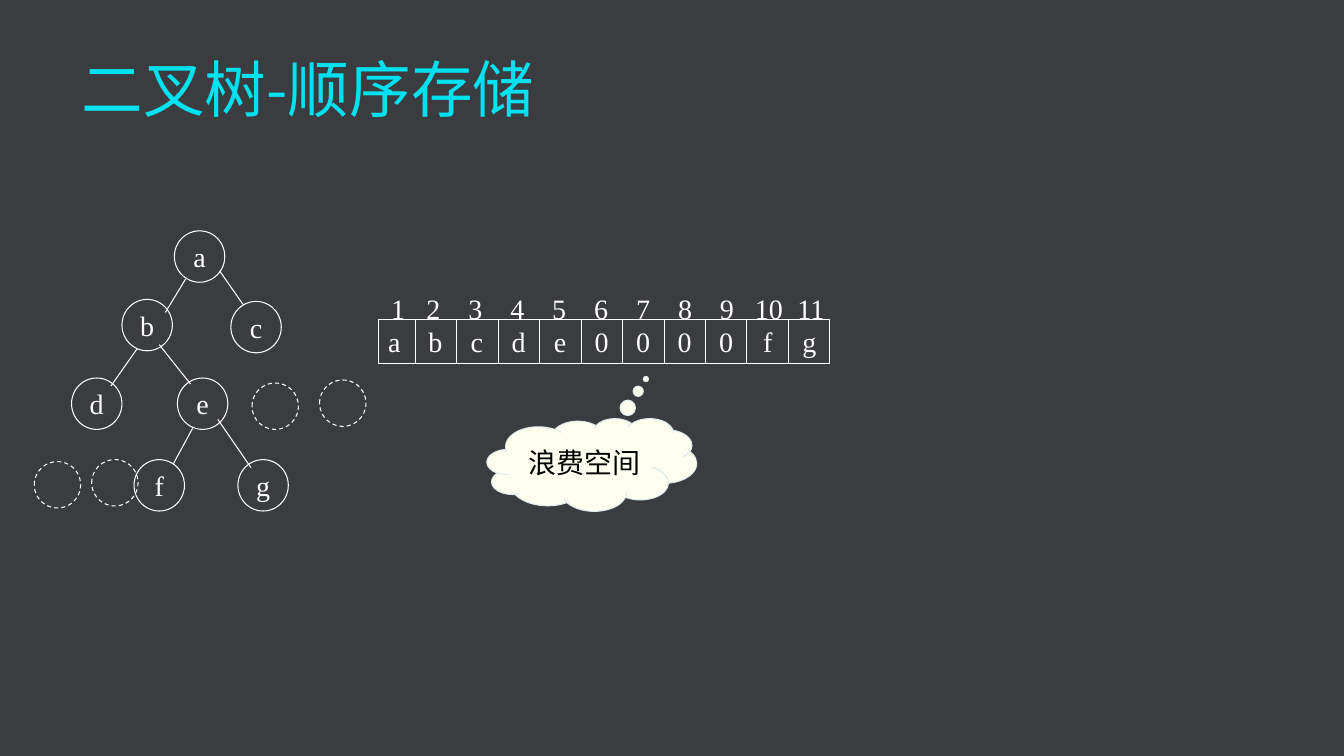
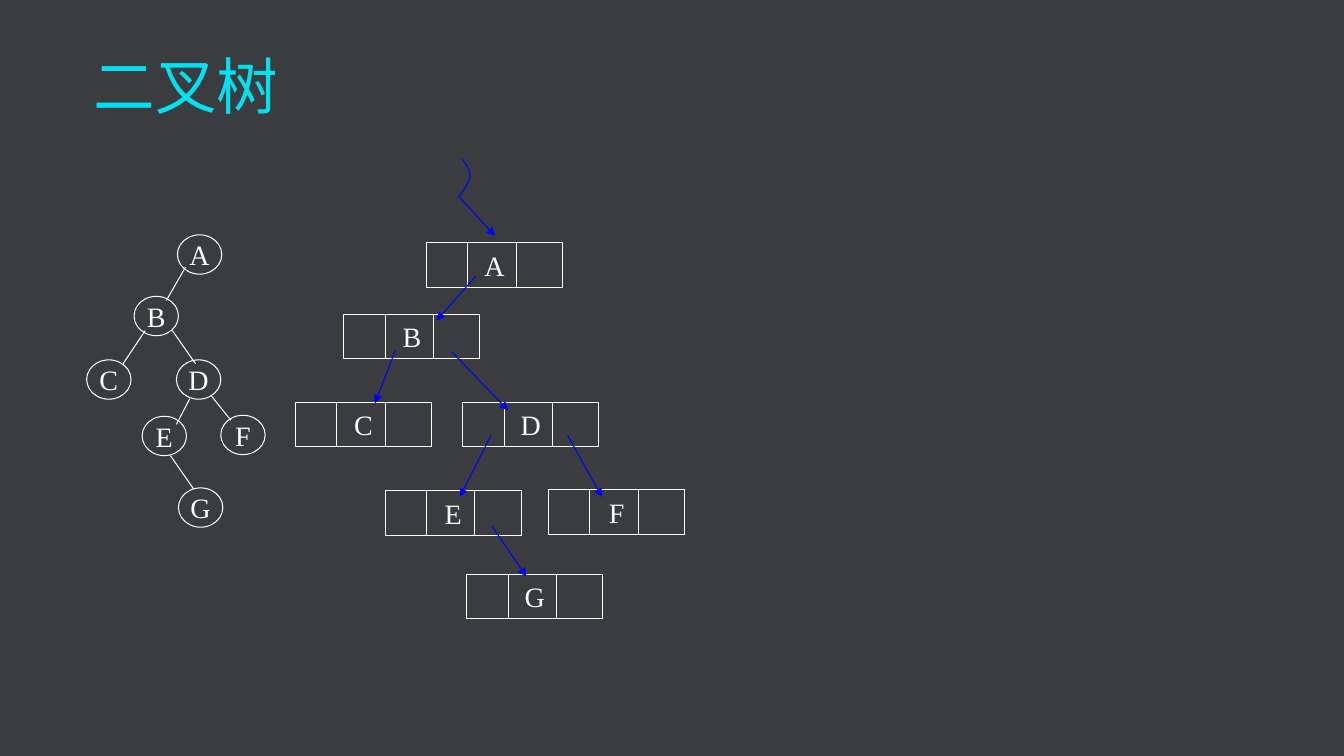
from lxml.etree import SubElement
from pptx import Presentation
from pptx.dml.color import RGBColor
from pptx.enum.dml import MSO_LINE
from pptx.enum.shapes import MSO_CONNECTOR, MSO_SHAPE
from pptx.enum.text import MSO_ANCHOR, PP_ALIGN
from pptx.oxml.ns import qn
from pptx.util import Inches, Pt

BACK, TITLE, WHITE, BLUE = "3A3C3F", "01E1EF", "FFFFFF", "0000FF"
SERIF, CJK = "Times New Roman", "Noto Sans CJK SC"
rgb = RGBColor.from_string


def add_box(s, kind, x, y, w, h, text="", font=SERIF, size=20, color=WHITE,
            line=WHITE, fill=None):
    """Add a preset shape, or a text box when kind is None."""
    pos = [Inches(v) for v in (x, y, w, h)]
    if kind is None:
        sp = s.shapes.add_textbox(*pos)
    else:
        sp = s.shapes.add_shape(kind, *pos)
        sp.shadow.inherit = False
        sp.line.color.rgb = rgb(line)
        sp.line.width = Pt(0.75)
        if fill:
            sp.fill.solid()
            sp.fill.fore_color.rgb = rgb(fill)
        else:
            sp.fill.background()
    if text:
        tf = sp.text_frame
        tf.vertical_anchor = MSO_ANCHOR.MIDDLE
        tf.word_wrap = kind != MSO_SHAPE.OVAL
        p = tf.paragraphs[0]
        p.text = text
        p.alignment = PP_ALIGN.LEFT if kind is None else PP_ALIGN.CENTER
        p.font.name, p.font.size = font, Pt(size)
        p.font.color.rgb = rgb(color)
    return sp


def add_line(s, x1, y1, x2, y2, color=WHITE, arrow=False):
    cx = s.shapes.add_connector(MSO_CONNECTOR.STRAIGHT, Inches(x1), Inches(y1),
                                Inches(x2), Inches(y2))
    cx.line.color.rgb = rgb(color)
    cx.line.width = Pt(0.75)
    if arrow:
        SubElement(cx.line._get_or_add_ln(), qn("a:tailEnd"), type="triangle")
    SubElement(cx._element.spPr, qn("a:effectLst"))


prs = Presentation()
prs.slide_width, prs.slide_height = Inches(13.33), Inches(7.5)

# Background and title of both slides
for title, x, y in [("二叉树-顺序存储", 0.71, 0.54), ("二叉树", 0.83, 0.51)]:
    s = prs.slides.add_slide(prs.slide_layouts[6])
    s.background.fill.solid()
    s.background.fill.fore_color.rgb = rgb(BACK)
    sp = add_box(s, None, x, y, 11.68, 0.46, title, CJK, 44, TITLE)
    sp.text_frame.vertical_anchor = MSO_ANCHOR.TOP
    p = sp.text_frame.paragraphs[0]
    p.line_spacing = 0.9
    SubElement(p._p.pPr.find(qn("a:defRPr")), qn("a:ea"), typeface=CJK)
array_slide, linked_slide = prs.slides

# Slide 1: tree, with dashed circles for the missing nodes
s = array_slide
for name, x, y in [("a", 1.73, 2.29), ("b", 1.21, 2.97), ("c", 2.29, 2.99),
                   ("d", 0.71, 3.75), ("e", 1.76, 3.75), ("f", 1.33, 4.56),
                   ("g", 2.36, 4.56)]:
    add_box(s, MSO_SHAPE.OVAL, x, y, 0.5, 0.51, name)
for edge in [(1.84, 2.77, 1.64, 3.1), (1.36, 3.46, 1.1, 3.83),
             (2.18, 2.69, 2.41, 3.02), (1.58, 3.42, 1.89, 3.81),
             (2.16, 4.16, 2.49, 4.64), (1.91, 4.25, 1.72, 4.6)]:
    add_line(s, *edge)
for x, y in [(2.5, 3.8), (3.17, 3.77), (0.34, 4.58), (0.91, 4.56)]:
    sp = add_box(s, MSO_SHAPE.OVAL, x, y, 0.46, 0.46)
    sp.line.dash_style = MSO_LINE.DASH

# Slide 1: array cells and their indices, set on centred tab stops
cells = add_box(s, MSO_SHAPE.RECTANGLE, 3.75, 3.17, 4.48, 0.44, "\t".join("abcde0000fg"))
for i in range(10):
    x = 4.12 + 0.411 * i
    add_line(s, x, 3.17, x, 3.6)
indices = add_box(s, None, 3.78, 2.84, 4.51, 0.43, "\t".join(str(n) for n in range(1, 12)))
for sp, first, step in [(cells, 0.47, 0.412), (indices, 0.42, 0.416)]:
    sp.text_frame.margin_right = 0
    p = sp.text_frame.paragraphs[0]
    p.alignment = PP_ALIGN.LEFT
    tabs = SubElement(p._p.pPr, qn("a:tabLst"))
    p._p.pPr.find(qn("a:defRPr")).addprevious(tabs)
    for i in range(10):
        SubElement(tabs, qn("a:tab"), pos=str(Inches(first + step * i)), algn="ctr")

# Slide 1: remark
cloud = add_box(s, MSO_SHAPE.CLOUD_CALLOUT, 4.83, 4.15, 2.08, 0.92, "浪费空间",
                "Cabin", color="000000", line="DDE9EC", fill="FFFFEF")
cloud.adjustments[0], cloud.adjustments[1] = 0.258, -0.924

# Slide 2: linked records of left pointer, name and right pointer
s = linked_slide
for name, x, y in [("A", 4.23, 2.41), ("B", 3.41, 3.12), ("C", 2.93, 3.99),
                   ("D", 4.59, 3.99), ("E", 3.82, 4.87), ("F", 5.44, 4.86),
                   ("G", 4.63, 5.7)]:
    add_box(s, MSO_SHAPE.RECTANGLE, x, y, 1.35, 0.44, name)
    for dx in (0.41, 0.89):
        add_line(s, x + dx, y, x + dx, y + 0.44)

# Slide 2: tree
for name, x, y in [("A", 1.76, 2.33), ("B", 1.33, 2.94), ("C", 0.86, 3.57),
                   ("D", 1.75, 3.57), ("E", 1.41, 4.13), ("F", 2.19, 4.12),
                   ("G", 1.77, 4.84)]:
    add_box(s, MSO_SHAPE.OVAL, x, y, 0.44, 0.39, name)
for edge in [(1.84, 2.65, 1.65, 2.98), (1.44, 3.28, 1.22, 3.61),
             (1.71, 3.28, 1.94, 3.61), (1.88, 3.96, 1.75, 4.21),
             (2.09, 3.92, 2.29, 4.17), (1.69, 4.52, 1.92, 4.85)]:
    add_line(s, *edge)

# Slide 2: pointers, the last one coming from the root
for pointer in [(4.72, 2.74, 4.33, 3.18), (3.92, 3.48, 3.72, 4),
                (4.48, 3.49, 5.04, 4.07), (4.87, 4.32, 4.56, 4.93),
                (5.63, 4.32, 5.97, 4.93), (4.88, 5.22, 5.22, 5.72),
                (4.56, 1.96, 4.91, 2.34)]:
    add_line(s, *pointer, color=BLUE, arrow=True)

# Slide 2: curved start of the root pointer, two Bézier arcs
points = []
for arc in [((4.58, 1.57), (4.62, 1.63), (4.67, 1.69), (4.66, 1.76)),
            ((4.66, 1.76), (4.65, 1.82), (4.57, 1.93), (4.54, 1.96))]:
    for t in [k / 8 for k in range(9)]:
        weights = ((1 - t) ** 3, 3 * t * (1 - t) ** 2, 3 * t * t * (1 - t), t ** 3)
        points.append([Inches(sum(w * c for w, c in zip(weights, axis)))
                       for axis in zip(*arc)])
fb = s.shapes.build_freeform(*points[0])
fb.add_line_segments(points[1:], close=False)
sp = fb.convert_to_shape()
sp.shadow.inherit = False
sp.fill.background()
sp.line.color.rgb = rgb(BLUE)
sp.line.width = Pt(0.75)

prs.save("out.pptx")
